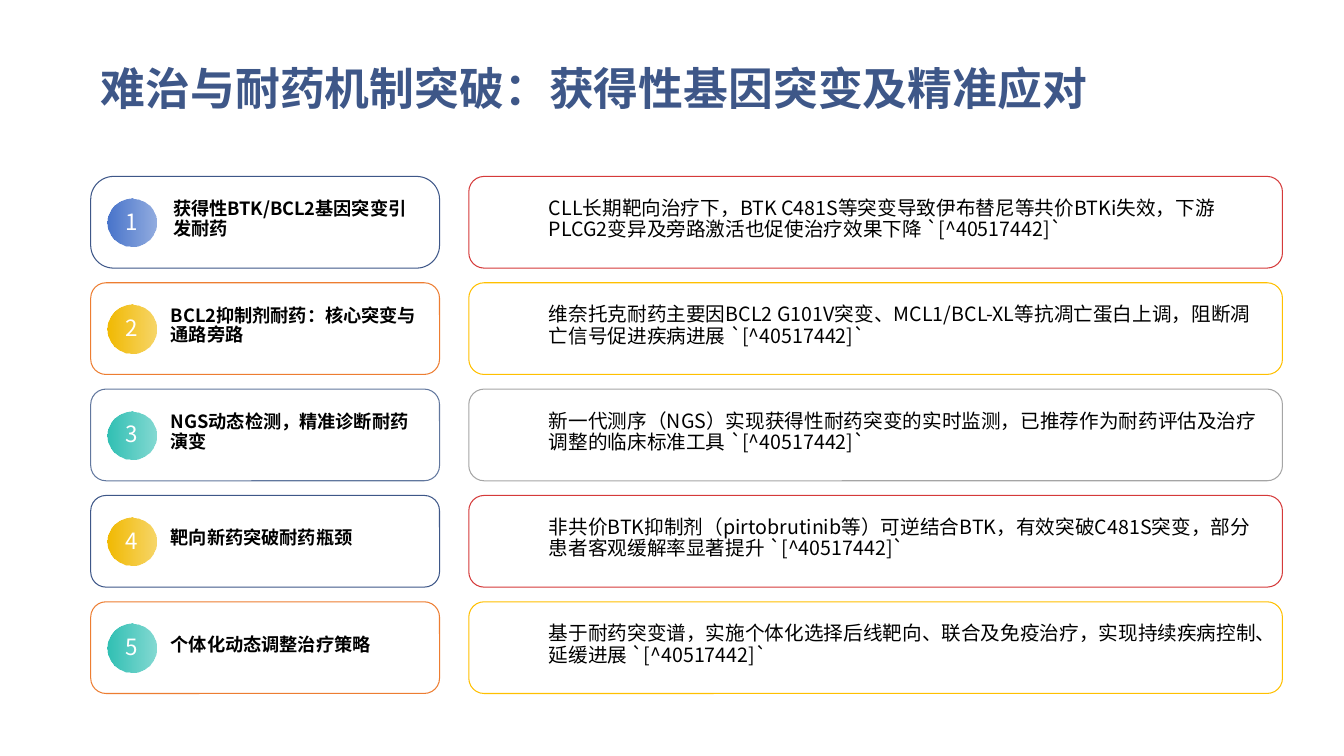
import pptx
import pptx.dml.color
import pptx.enum.shapes
import pptx.enum.text
import pptx.oxml.ns
import pptx.util
from lxml import etree

Inches = pptx.util.Inches
Pt = pptx.util.Pt
qn = pptx.oxml.ns.qn
SHAPES = pptx.enum.shapes.MSO_SHAPE
ANCHOR = pptx.enum.text.MSO_ANCHOR
ALIGN = pptx.enum.text.PP_ALIGN

FONT = "Noto Sans CJK SC"
TITLE = "难治与耐药机制突破：获得性基因突变及精准应对"
ROWS = [
    ("获得性BTK/BCL2基因突变引发耐药",
     "CLL长期靶向治疗下，BTK C481S等突变导致伊布替尼等共价BTKi失效，下游PLCG2变异及旁路激活也促使治疗效果下降 `[^40517442]`",
     "3E5788", "D53A3A", "4874CB"),
    ("BCL2抑制剂耐药：核心突变与通路旁路",
     "维奈托克耐药主要因BCL2 G101V突变、MCL1/BCL-XL等抗凋亡蛋白上调，阻断凋亡信号促进疾病进展 `[^40517442]`",
     "ED7D31", "FFC000", "F2BA02"),
    ("NGS动态检测，精准诊断耐药演变",
     "新一代测序（NGS）实现获得性耐药突变的实时监测，已推荐作为耐药评估及治疗调整的临床标准工具 `[^40517442]`",
     "61779E", "A5A5A5", "30C0B4"),
    ("靶向新药突破耐药瓶颈",
     "非共价BTK抑制剂（pirtobrutinib等）可逆结合BTK，有效突破C481S突变，部分患者客观缓解率显著提升 `[^40517442]`",
     "3E5788", "D53A3A", "F2BA02"),
    ("个体化动态调整治疗策略",
     "基于耐药突变谱，实施个体化选择后线靶向、联合及免疫治疗，实现持续疾病控制、延缓进展 `[^40517442]`",
     "ED7D31", "FFC000", "30C0B4"),
]
ROW_PITCH = 1.055
ROW_HEIGHT = 0.91
CARD_INSETS = (0.75, 0, 0.12, 0.05)


def color(value):
    """Turn a hex string into a colour."""
    return pptx.dml.color.RGBColor.from_string(value)


def apply(target, formats):
    """Set each attribute of the target from a dict."""
    for name, value in formats.items():
        setattr(target, name, value)


def write(shape, text, size, ink, bold=False, align=ALIGN.LEFT,
          anchor=ANCHOR.MIDDLE, insets=(0, 0, 0, 0)):
    """Put one formatted paragraph into a shape."""
    frame = shape.text_frame
    left, top, right, bottom = map(Inches, insets)
    apply(frame, {"word_wrap": True, "vertical_anchor": anchor,
                  "auto_size": pptx.enum.text.MSO_AUTO_SIZE.NONE,
                  "margin_left": left, "margin_top": top,
                  "margin_right": right, "margin_bottom": bottom})
    para = frame.paragraphs[0]
    apply(para, {"alignment": align, "line_spacing": 0.9,
                 "space_before": Pt(10)})
    span = para.add_run()
    span.text = text
    apply(span.font, {"name": FONT, "size": Pt(size), "bold": bold})
    span.font.color.rgb = color(ink)
    latin = span.font._element.find(qn("a:latin"))
    east_asian = etree.Element(qn("a:ea"), typeface=FONT)
    latin.addnext(east_asian)


def add_title(page, box):
    """Place the page title in its placeholder."""
    title = page.shapes.title
    apply(title, dict(zip(("left", "top", "width", "height"),
                          map(Inches, box))))
    write(title, TITLE, 32, "3E5788", True, anchor=ANCHOR.BOTTOM,
          insets=(0.1, 0.05, 0.1, 0.05))


def add_card(page, box, text, size, outline, bold=False):
    """Place a rounded outlined card and return it."""
    card = page.shapes.add_shape(SHAPES.ROUNDED_RECTANGLE, *map(Inches, box))
    card.shadow.inherit = False
    card.fill.background()
    card.line.color.rgb = color(outline)
    card.line.width = Pt(0.75)
    write(card, text, size, "000000", bold, insets=CARD_INSETS)
    return card


def add_badge(page, box, number, tint):
    """Place a numbered circle that fades to the right."""
    badge = page.shapes.add_shape(SHAPES.OVAL, *map(Inches, box))
    badge.shadow.inherit = False
    badge.line.fill.background()
    badge.fill.gradient()
    badge.fill.gradient_angle = 0
    for stop, position in zip(badge.fill.gradient_stops, (0, 1)):
        stop.color.rgb = color(tint)
        stop.position = position
    faded = list(badge.element.iter(qn("a:srgbClr")))[-1]
    etree.SubElement(faded, qn("a:alpha"), val="59000")
    write(badge, str(number), 16, "FFFFFF", align=ALIGN.CENTER)


def add_row(page, box, number, row):
    """Place a heading card, its detail card and its number."""
    left, top, width, height = box
    heading, detail, heading_line, detail_line, tint = row
    card = add_card(page, (left, top, 3.46, height), heading, 13,
                    heading_line, True)
    if number == 1:
        card.adjustments[0] = 0.25
    add_card(page, (left + 3.75, top, width - 3.75, height), detail, 14,
             detail_line)
    add_badge(page, (left + 0.17, top + 0.22, 0.48, 0.48), number, tint)


def main():
    """Build the deck and save it."""
    deck = pptx.Presentation()
    apply(deck, {"slide_width": Inches(13.33), "slide_height": Inches(7.5)})
    page = deck.slides.add_slide(deck.slide_layouts[5])
    add_title(page, (0.9, 0.4, 11.81, 0.79))
    for index, row in enumerate(ROWS):
        add_row(page, (0.9, 1.75 + index * ROW_PITCH, 11.82, ROW_HEIGHT),
                index + 1, row)
    deck.save("out.pptx")


if __name__ == "__main__":
    main()
